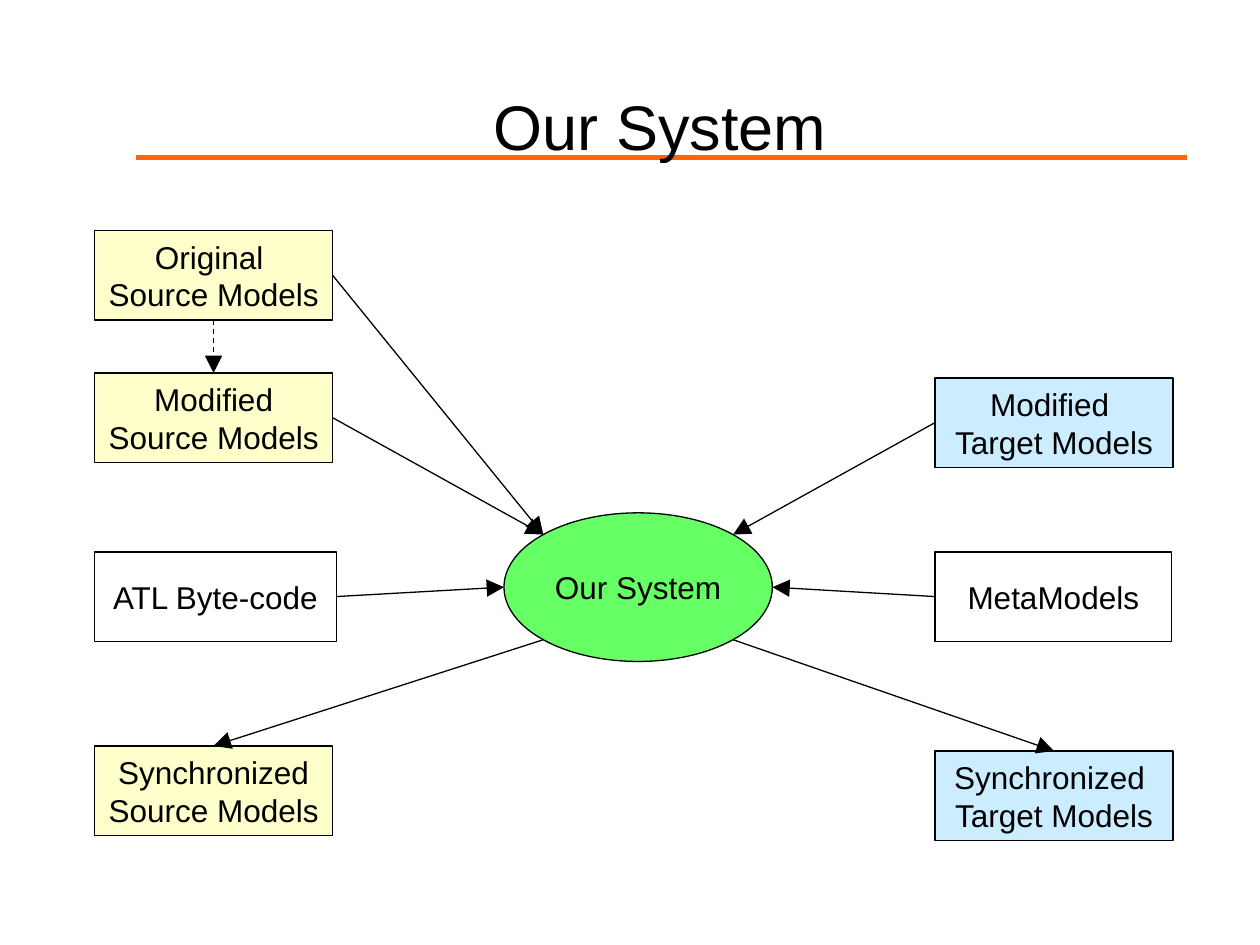
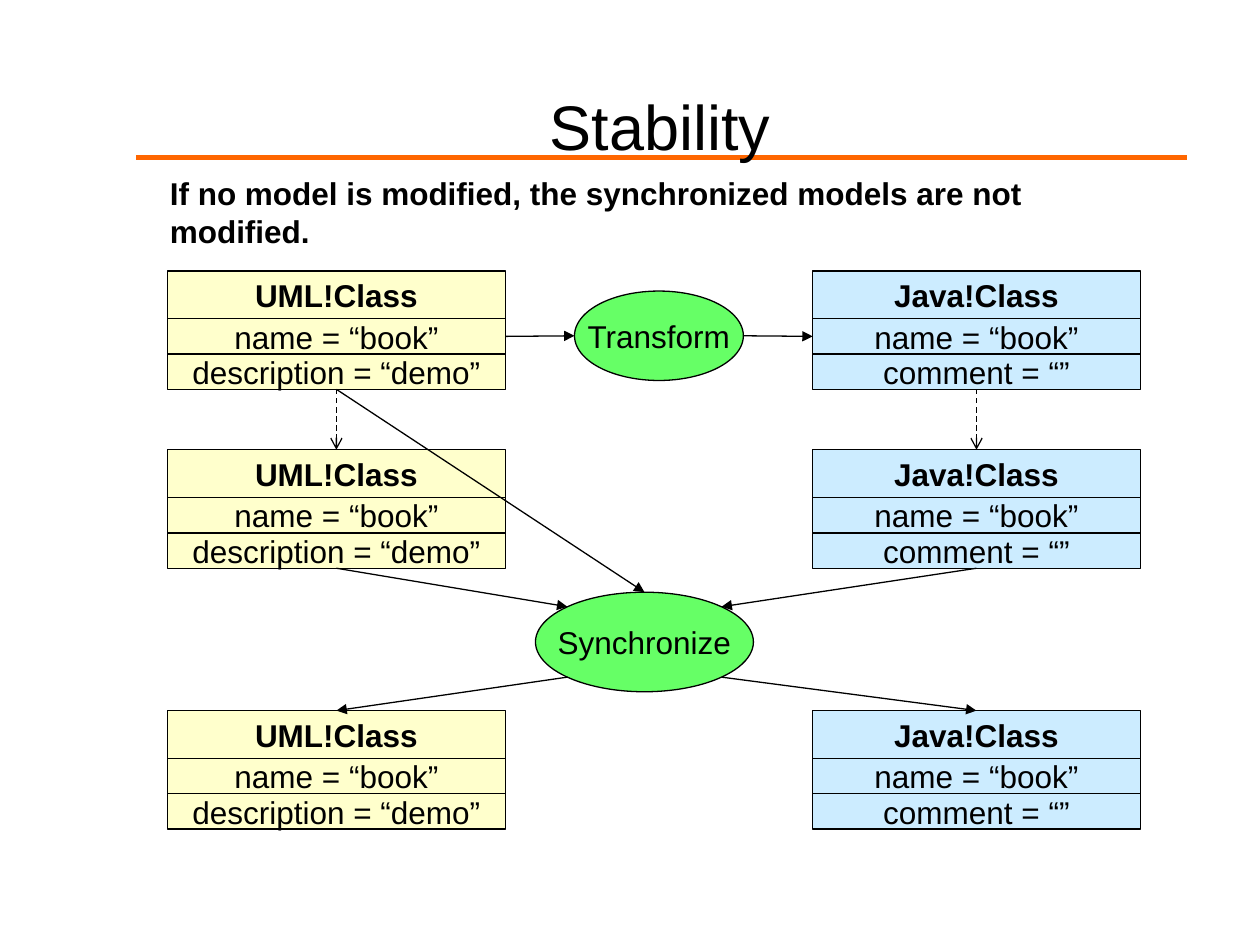
import pptx
import pptx.util
import pptx.dml.color
import pptx.enum.dml
import pptx.enum.shapes
import pptx.enum.text
import pptx.oxml.ns
from lxml import etree

Inches = pptx.util.Inches
Color = pptx.dml.color.RGBColor
Shape = pptx.enum.shapes.MSO_SHAPE
Align = pptx.enum.text.PP_ALIGN
qn = pptx.oxml.ns.qn

BLACK = Color(0x00, 0x00, 0x00)
WHITE = Color(0xFF, 0xFF, 0xFF)
ORANGE = Color(0xFF, 0x66, 0x00)
GREEN = Color(0x66, 0xFF, 0x66)
YELLOW = Color(0xFF, 0xFF, 0xCC)
BLUE = Color(0xCC, 0xEC, 0xFF)

# Connection sites: index and position as a share of width and height
NEAR, FAR = 0.1464, 0.8536
BOX_SITES = {"top": (0, 0.5, 0), "left": (1, 0, 0.5),
             "bottom": (2, 0.5, 1), "right": (3, 1, 0.5)}
OVAL_SITES = {"top": (0, 0.5, 0), "top left": (1, NEAR, NEAR),
              "left": (2, 0, 0.5), "bottom left": (3, NEAR, FAR),
              "bottom": (4, 0.5, 1), "bottom right": (5, FAR, FAR),
              "right": (6, 1, 0.5), "top right": (7, FAR, NEAR)}


def write_text(frame, text, size=18, bold=False, align=Align.CENTER,
               wrap=False, anchor=pptx.enum.text.MSO_ANCHOR.MIDDLE):
    """Fill a text frame, one paragraph per line of text."""
    frame.word_wrap = wrap
    frame.vertical_anchor = anchor
    for number, line in enumerate(text.split("\n")):
        para = frame.paragraphs[0] if number == 0 else frame.add_paragraph()
        para.alignment = align
        span = para.add_run()
        span.text = line
        span.font.name = "Arial"
        span.font.size = pptx.util.Pt(size)
        span.font.bold = bold
        span.font.color.rgb = BLACK


class Diagram:
    """Shared style and the slide being drawn."""

    def __init__(self, deck):
        self.deck = deck
        self.slide = None
        self.head_size = "med"

    def start_slide(self, title, head_size):
        self.slide = self.deck.slides.add_slide(self.deck.slide_layouts[6])
        self.head_size = head_size
        self.line(Inches(1.08), Inches(1.25), Inches(9.42), Inches(1.25), ORANGE, 2.75)
        self.label(title, 0.91, 0.6, 8.66, 0.79, size=36, wrap=True)

    def label(self, text, left, top, width, height, **text_format):
        box = self.slide.shapes.add_textbox(
            Inches(left), Inches(top), Inches(width), Inches(height))
        write_text(box.text_frame, text, **text_format)

    def shape(self, text, left, top, width, height, fill,
              kind=Shape.RECTANGLE, parent=None, bold=False):
        shapes = (parent or self.slide).shapes
        shape = shapes.add_shape(
            kind, Inches(left), Inches(top), Inches(width), Inches(height))
        shape.shadow.inherit = False
        shape.fill.solid()
        shape.fill.fore_color.rgb = fill
        shape.line.color.rgb = BLACK
        shape.line.width = pptx.util.Pt(0.75)
        write_text(shape.text_frame, text, bold=bold)
        return shape

    def oval(self, text, left, top, width, height):
        return self.shape(text, left, top, width, height, GREEN, Shape.OVAL)

    def class_box(self, rows, left, top, width, fill):
        """Group a bold class name and its attribute rows."""
        group = self.slide.shapes.add_group_shape()
        boxes = []
        for number, text in enumerate(rows):
            height = 0.38 if number == 0 else 0.28
            boxes.append(self.shape(text, left, top, width, height, fill,
                                    parent=group, bold=number == 0))
            top += height
        return boxes

    def line(self, x1, y1, x2, y2, color=BLACK, width=0.75):
        line = self.slide.shapes.add_connector(
            pptx.enum.shapes.MSO_CONNECTOR.STRAIGHT, x1, y1, x2, y2)
        line.line.color.rgb = color
        line.line.width = pptx.util.Pt(width)
        etree.SubElement(line.element.spPr, qn("a:effectLst"))
        return line

    def arrow(self, start, start_site, end, end_site, dashed=False, head="triangle"):
        """Join two shapes, attached at named sites."""
        points, links = [], []
        for tag, shape, site in (("a:stCxn", start, start_site),
                                 ("a:endCxn", end, end_site)):
            oval = shape.auto_shape_type == Shape.OVAL
            index, across, down = (OVAL_SITES if oval else BOX_SITES)[site]
            points += [int(shape.left + across * shape.width),
                       int(shape.top + down * shape.height)]
            links.append((tag, shape.shape_id, index))
        arrow = self.line(*points)
        if dashed:
            arrow.line.dash_style = pptx.enum.dml.MSO_LINE.DASH
        etree.SubElement(arrow.line._get_or_add_ln(), qn("a:tailEnd"),
                         type=head, w=self.head_size, len=self.head_size)
        joints = arrow.element.find(".//" + qn("p:cNvCxnSpPr"))
        for tag, shape_id, index in links:
            etree.SubElement(joints, qn(tag), id=str(shape_id), idx=str(index))


def draw_system(diagram):
    diagram.start_slide("Our System", head_size="lg")
    system = diagram.oval("Our System", 4, 4.07, 2.13, 1.18)

    # Inputs and outputs
    left, right, width, height = 0.75, 7.42, 1.89, 0.71
    original, modified, synchronized = [
        diagram.shape(text + "\nSource Models", left, top, width, height, YELLOW)
        for text, top in (("Original ", 1.83), ("Modified", 2.96), ("Synchronized", 5.92))]
    target, synchronized_target = [
        diagram.shape(text + "\nTarget Models", right, top, width, height, BLUE)
        for text, top in (("Modified ", 3), ("Synchronized ", 5.96))]
    byte_code = diagram.shape("ATL Byte-code", left, 4.38, 1.92, height, WHITE)
    metamodels = diagram.shape("MetaModels", right, 4.38, 1.88, height, WHITE)

    # Flows
    diagram.arrow(original, "bottom", modified, "top", dashed=True)
    diagram.arrow(original, "right", system, "top left")
    diagram.arrow(modified, "right", system, "top left")
    diagram.arrow(byte_code, "right", system, "left")
    diagram.arrow(target, "left", system, "top right")
    diagram.arrow(metamodels, "left", system, "right")
    diagram.arrow(system, "bottom left", synchronized, "top")
    diagram.arrow(system, "bottom right", synchronized_target, "top")


def draw_stability(diagram):
    diagram.start_slide("Stability", head_size="med")
    diagram.label("If no model is modified, the synchronized models are not modified.",
                  1.25, 1.33, 8.14, 0.4, bold=True, align=Align.LEFT,
                  anchor=pptx.enum.text.MSO_ANCHOR.TOP)

    # Class boxes: before, after, synchronized
    tops = (2.15, 3.57, 5.64)
    uml_rows = ("UML!Class", "name = “book”", "description = “demo”")
    java_rows = ("Java!Class", "name = “book”", "comment = “”")
    uml = [diagram.class_box(uml_rows, 1.33, top, 2.68, YELLOW) for top in tops]
    java = [diagram.class_box(java_rows, 6.45, top, 2.6, BLUE) for top in tops]

    # Operations
    transform = diagram.oval("Transform", 4.56, 2.31, 1.34, 0.71)
    synchronize = diagram.oval("Synchronize", 4.25, 4.7, 1.73, 0.79)

    # Flows
    diagram.arrow(uml[0][1], "right", transform, "left")
    diagram.arrow(transform, "right", java[0][1], "left")
    diagram.arrow(uml[0][-1], "bottom", synchronize, "top")
    for (before, after, result), side in ((uml, "left"), (java, "right")):
        diagram.arrow(before[-1], "bottom", after[0], "top", dashed=True, head="arrow")
        diagram.arrow(after[-1], "bottom", synchronize, "top " + side)
        diagram.arrow(synchronize, "bottom " + side, result[0], "top")


def main():
    deck = pptx.Presentation()
    deck.slide_width, deck.slide_height = Inches(10), Inches(7.5)
    diagram = Diagram(deck)
    draw_system(diagram)
    draw_stability(diagram)
    deck.save("out.pptx")


if __name__ == "__main__":
    main()
